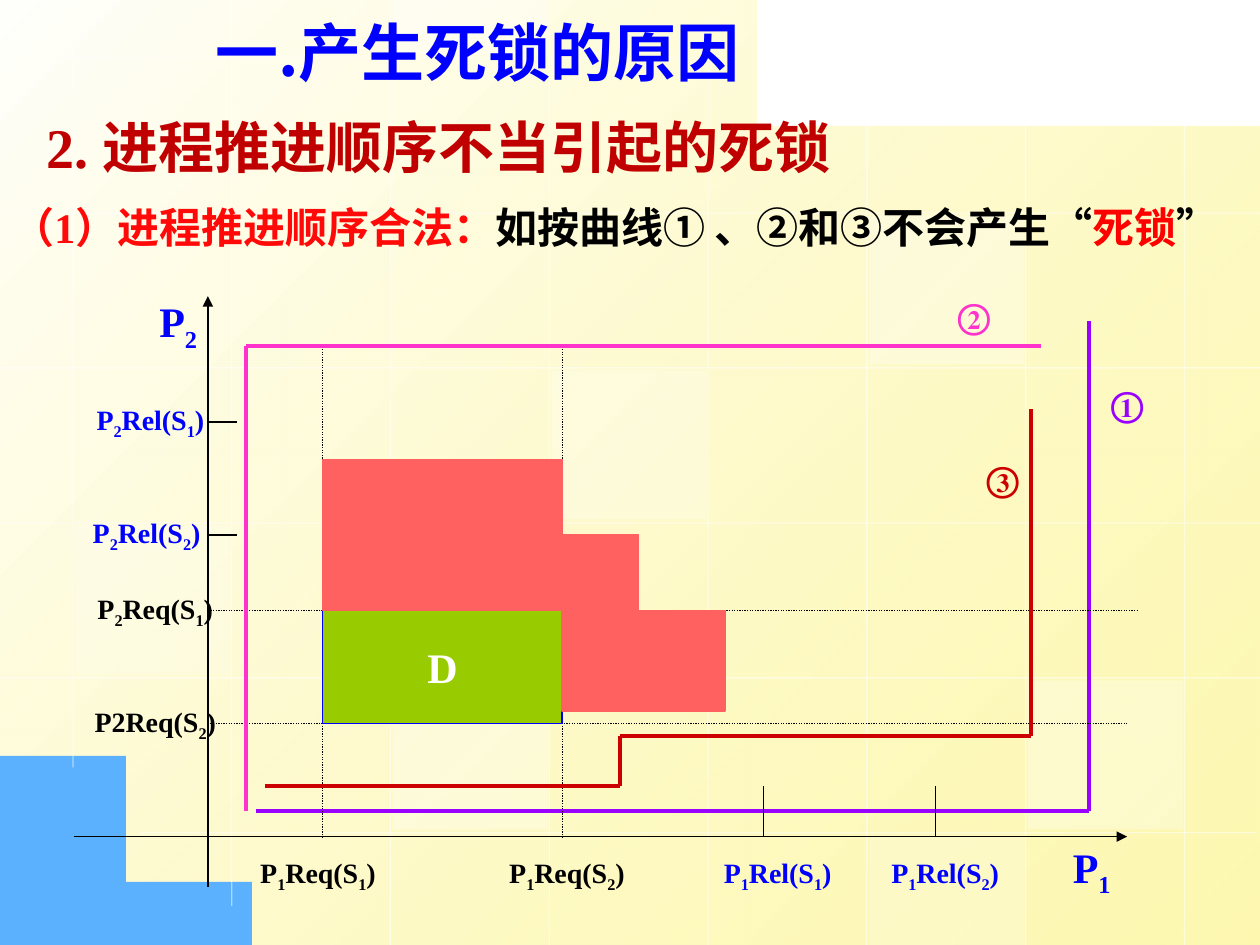
from lxml.etree import SubElement
from pptx import Presentation
from pptx.dml.color import RGBColor
from pptx.enum.dml import MSO_LINE
from pptx.enum.shapes import MSO_CONNECTOR, MSO_SHAPE
from pptx.enum.text import MSO_ANCHOR, MSO_AUTO_SIZE, PP_ALIGN
from pptx.oxml.ns import qn
from pptx.util import Inches, Pt

DOT = MSO_LINE.ROUND_DOT
LINE = MSO_CONNECTOR.STRAIGHT
RECT = MSO_SHAPE.RECTANGLE
MID, TOP = MSO_ANCHOR.MIDDLE, MSO_ANCHOR.TOP
NONE = MSO_AUTO_SIZE.NONE
LEFT, MIDST = PP_ALIGN.LEFT, PP_ALIGN.CENTER
SERIF, SANS = "Times New Roman", "Noto Sans CJK SC"
HUE = {
    "white": "FFFFFF", "cream": "FFFFFB", "yellow": "FDF58D", "sky": "5CB1FE",
    "black": "000000", "blue": "0000FF", "brick": "C00000", "scarlet": "FF0909",
    "red": "FF0000", "purple": "9900FF", "pink": "FF33CC", "crimson": "CC0000",
    "green": "99CC00", "coral": "FF6161",
}
RGB = {name: RGBColor.from_string(code) for name, code in HUE.items()}

deck = Presentation()
deck.slide_width, deck.slide_height = Inches(10), Inches(7.5)
unit = deck.slide_width // 10
slide = deck.slides.add_slide(deck.slide_layouts[5])
shapes = slide.shapes
veils = []


def rule(x1, y1, x2, y2, hue, size):
    line = shapes.add_connector(LINE, int(x1), int(y1), int(x2), int(y2))
    line.line.color.rgb = RGB[hue]
    line.line.width = Pt(size)
    SubElement(line._element.spPr, qn("a:effectLst"))
    return line


def write(frame, runs, size, align=MIDST, anchor=MID, wrap=False, font=SERIF):
    frame.word_wrap = wrap
    frame.auto_size = NONE
    frame.vertical_anchor = anchor
    para = frame.paragraphs[0]
    para.alignment = align
    for text, hue in runs:
        head, *tails = text.split("_")
        parts = [(head, 0)]
        for tail in tails:
            parts += [(tail[0], -25000), (tail[1:], 0)]
        for part, base in parts:
            if part:
                run = para.add_run()
                run.text = part
                run.font.size = Pt(size)
                run.font.bold = True
                run.font.name = font
                run.font.color.rgb = RGB[hue]
                props = run._r.get_or_add_rPr()
                SubElement(props, qn("a:ea"), typeface=SANS)
                if base:
                    props.set("baseline", str(base))
    return para


outlines = [
    ("yellow", (10, 1.04), [
        (10, 7.5), (2.3, 7.5), (0.86, 6.61, -0.01, 5.39, 0, 5.39),
        (-0.01, -0.01), (4.21, 0.01), (4.21, 0.01, 5.37, 0.69, 10, 1.04)]),
    ("sky", (0.01, 5.59), [
        (0.01, 7.5), (2.03, 7.5), (2.03, 7.5, 1.12, 7.09, 0.01, 5.59)]),
]
for hue, start, steps in outlines:
    points = [start]
    for step in steps:
        if len(step) == 2:
            points.append(step)
            continue
        knots = [points[-1], step[:2], step[2:4], step[4:]]
        for i in range(1, 25):
            t = i / 24
            share = [(1 - t) ** 3, 3 * t * (1 - t) ** 2, 3 * t * t * (1 - t), t ** 3]
            points.append(tuple(
                sum(s * k[axis] for s, k in zip(share, knots)) for axis in (0, 1)))
    pen = shapes.build_freeform(*start, scale=unit)
    pen.add_line_segments(points[1:], close=True)
    field = pen.convert_to_shape()
    field.shadow.inherit = False
    field.line.fill.background()
    if hue == "yellow":
        field.fill.gradient()
        field.fill.gradient_angle = 315
        for stop, tint in zip(field.fill.gradient_stops, ("cream", hue)):
            stop.color.rgb = RGB[tint]
        veils.append((field, 70))
    else:
        field.fill.solid()
        field.fill.fore_color.rgb = RGB[hue]

left, top, wide, high = 0.58, 0.46, 1.26, 1.23
spans = [(0, 6.09), (0, 7.19), (0, 7.5), (0, 7.5),
         (0.43, 7.5), (0.68, 7.5), (0.85, 7.5), (0.98, 7.5)]
for i, (y1, y2) in enumerate(spans):
    x = (left + i * wide) * unit
    veils.append((rule(x, y1 * unit, x, y2 * unit, "white", 0.75), 50))
spans = [(0, 5.68)] + [(0, 10)] * 4 + [(1.11, 9.97)]
for i, (x1, x2) in enumerate(spans):
    y = (top + i * high) * unit
    veils.append((rule(x2 * unit, y, x1 * unit, y, "white", 0.75), 50))

tiles = [(3, 2, 25), (6, 4, 30), (0, 3, 20), (5, 5, 20),
         (2, -1, 40), (2, 4, 30), (5, 1, 30)]
for i, j, clear in tiles:
    x, y = left + i * wide + 0.02, top + j * high + 0.02
    y1, y2 = max(0, y), min(7.5, y + 1.18)
    tile = shapes.add_shape(RECT, int(x * unit), int(y1 * unit),
                            int(1.23 * unit), int((y2 - y1) * unit))
    tile.shadow.inherit = False
    tile.fill.solid()
    tile.fill.fore_color.rgb = RGB["white"]
    tile.line.fill.background()
    veils.append((tile, clear))

for item, clear in veils:
    tint = list(item._element.iter(qn("a:srgbClr")))[-1]
    SubElement(tint, qn("a:alpha"), val=str(clear * 1000))

heads = [
    ((0, 1.47, 10, 1.22), 24, 1.2, [
        ("（1）进程推进顺序合法：", "scarlet"),
        ("如按曲线① 、②和③不会产生“", "black"), ("死锁", "red"), ("”", "black")]),
    ((0.27, 0.84, 7.02, 0.64), 32, 1, [("2. 进程推进顺序不当引起的死锁", "brick")]),
]
for spot, size, gap, runs in heads:
    box = shapes.add_textbox(*(int(n * unit) for n in spot))
    write(box.text_frame, runs, size, LEFT, TOP, True).line_spacing = gap

col, row = Inches(1.9) / 25, Inches(3.89) / 39
zero, base = 1.65 * unit, 6.64 * unit

paths = [
    ("axis", [(0, -4), (0, 43)]),
    ("axis", [(-14, 0), (96, 0)]),
    ("purple", [(5, 2), (92, 2), (92, 41)]),
    ("guide", [(12, 39), (12, 0)]),
    ("guide", [(37, 39), (37, 0)]),
    ("guide", [(0, 9), (96, 9)]),
    ("guide", [(0, 18), (97, 18)]),
    ("crimson", [(6, 4), (43, 4), (43, 8), (86, 8), (86, 34)]),
    ("pink", [(4, 2), (4, 39), (87, 39)]),
    ("tick", [(58, 4), (58, 0)]),
    ("tick", [(76, 4), (76, 0)]),
    ("tick", [(0, 24), (3, 24)]),
    ("tick", [(0, 33), (3, 33)]),
]
for kind, stops in paths:
    hue, size = (kind, 2.25) if kind in HUE else ("black", 0.75)
    for (x1, y1), (x2, y2) in zip(stops, stops[1:]):
        line = rule(zero + x1 * col, base - y1 * row,
                    zero + x2 * col, base - y2 * row, hue, size)
        if kind == "guide":
            line.line.dash_style = DOT
        if kind == "axis":
            SubElement(line.line._get_or_add_ln(), qn("a:tailEnd"), type="triangle")

zones = [
    (12, 18, 25, 9, "green", "blue", "D"),
    (12, 30, 25, 12, "coral", "coral", ""),
    (37, 18, 17, 8, "coral", "coral", ""),
    (37, 24, 8, 6, "coral", "coral", ""),
]
for x, y, w, h, hue, edge, name in zones:
    zone = shapes.add_shape(RECT, int(zero + x * col), int(base - y * row),
                            int(w * col), int(h * row))
    zone.shadow.inherit = False
    zone.fill.solid()
    zone.fill.fore_color.rgb = RGB[hue]
    zone.line.color.rgb = RGB[edge]
    zone.line.width = Pt(0.75)
    if name:
        write(zone.text_frame, [(name, "white")], 24)

sizes = {16: (13, 4), 20: (6, 5), 24: (9.3, 4.7)}
labels = [
    ("①", 96, 34.5, 20, "purple"),
    ("③", 83, 28.5, 20, "crimson"),
    ("②", 80, 41.5, 20, "pink"),
    ("P_2Req(S_1)", -5.5, 18, 16, "black"),
    ("P2Req(S_2)", -5.5, 9, 16, "black"),
    ("P_1Req(S_2)", 37.5, -3, 16, "black"),
    ("P_1Req(S_1)", 11.5, -3, 16, "black"),
    ("P_1Rel(S_2)", 77, -3, 16, "blue"),
    ("P_1Rel(S_1)", 59.5, -3, 16, "blue"),
    ("P_2Rel(S_2)", -6.4, 24, 16, "blue"),
    ("P_2Rel(S_1)", -6, 33, 16, "blue"),
    ("P_2", -3.1, 40.75, 24, "blue"),
    ("P_1", 92.3, -2.65, 24, "blue"),
]
for text, x, y, size, hue in labels:
    w, h = sizes[size]
    box = shapes.add_textbox(int(zero + (x - w / 2) * col), int(base - (y + h / 2) * row),
                             int(w * col), int(h * row))
    write(box.text_frame, [(text, hue)], size)

title = shapes.title
title.left, title.top = int(1.61 * unit), int(0.05 * unit)
title.width, title.height = int(6.22 * unit), int(0.71 * unit)
write(title.text_frame, [("一.产生死锁的原因", "blue")], 36, LEFT, MID, True, SANS)
shapes._spTree.append(title._element)

deck.save("out.pptx")
